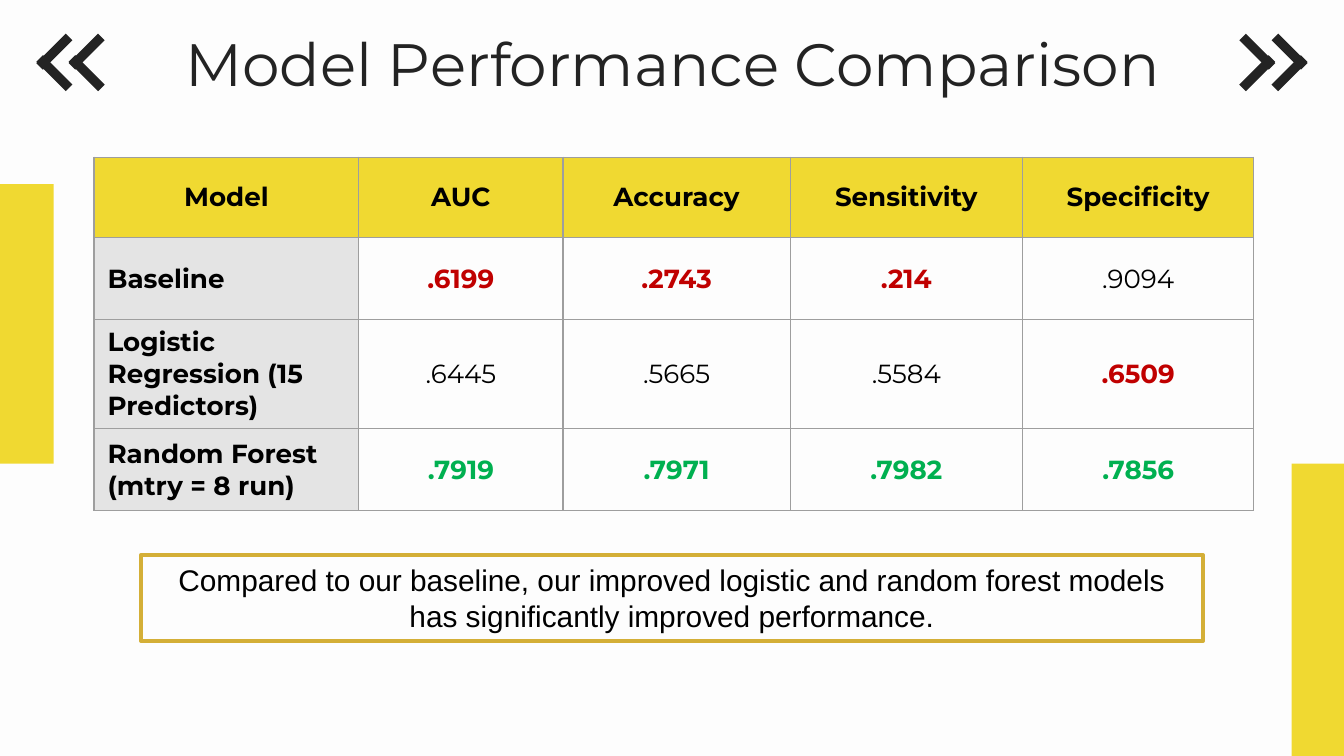
from lxml.etree import SubElement
from pptx import Presentation
from pptx.dml.color import RGBColor
from pptx.enum.shapes import MSO_SHAPE as Preset
from pptx.enum.text import MSO_ANCHOR as Anchor, MSO_AUTO_SIZE as AutoSize, PP_ALIGN as Align
from pptx.oxml.ns import qn
from pptx.util import Inches, Pt

COLOURS = {
    "page": "FDFDFD", "ink": "232323", "text": "000000", "yellow": "F0D931",
    "gold": "D4AF37", "grey": "E4E4E4", "border": "9E9E9E",
    "worst": "C00000", "best": "00B050",
}
HEADINGS = ["Model", "AUC", "Accuracy", "Sensitivity", "Specificity"]
RESULTS = [
    ["Baseline", ".6199", ".2743", ".214", ".9094"],
    ["Logistic Regression (15 Predictors)", ".6445", ".5665", ".5584", ".6509"],
    ["Random Forest (mtry = 8 run)", ".7919", ".7971", ".7982", ".7856"],
]
COLUMN_WIDTHS = [1.97, 1.52, 1.69, 1.73, 1.72]
ROW_HEIGHTS = [0.6, 0.61, 0.81, 0.61]


def colour(name):
    return RGBColor.from_string(COLOURS[name])


def write(frame, text, ink="text", align=Align.CENTER, **font_values):
    para = frame.paragraphs[0]
    para.alignment = align
    span = para.add_run()
    span.text = text
    for name, value in font_values.items():
        setattr(span.font, name, value)
    span.font.color.rgb = colour(ink)


def add_block(page, left, top, width, height, fill):
    block = page.shapes.add_shape(
        Preset.RECTANGLE, Inches(left), Inches(top), Inches(width), Inches(height))
    block.shadow.inherit = False
    block.fill.solid()
    block.fill.fore_color.rgb = colour(fill)
    block.line.fill.background()
    return block


def add_chevrons(page, left, top, direction):
    """Two chevrons of two bars each; direction is 1 for right, -1 for left."""
    for column in range(2):
        for row, side in enumerate((1, -1)):
            bar = add_block(page, left + 0.24 * column, top + 0.16 * row, 0.31, 0.07, "ink")
            bar.rotation = 45 * side * direction % 360


def add_title(page, left, top, width, height, text):
    title = page.shapes.title
    title.left, title.top = Inches(left), Inches(top)
    title.width, title.height = Inches(width), Inches(height)
    frame = title.text_frame
    settings = {f"margin_{side}": Inches(0.1) for side in ("left", "top", "right", "bottom")}
    settings |= {"vertical_anchor": Anchor.TOP, "auto_size": AutoSize.NONE, "word_wrap": True}
    for name, value in settings.items():
        setattr(frame, name, value)
    write(frame, text, "ink", size=Pt(32), name="Montserrat", bold=False)


def add_borders(cell):
    properties = cell._tc.get_or_add_tcPr()
    for edge in ("a:lnL", "a:lnR", "a:lnT", "a:lnB"):
        line = SubElement(properties, qn(edge), w=str(Pt(0.75)))
        fill = SubElement(line, qn("a:solidFill"))
        SubElement(fill, qn("a:srgbClr"), val=COLOURS["border"])


def fill_cell(cell, text, fill, ink, bold, align):
    add_borders(cell)
    if fill:
        cell.fill.solid()
        cell.fill.fore_color.rgb = colour(fill)
    else:
        cell.fill.background()
    cell.vertical_anchor = Anchor.MIDDLE
    write(cell.text_frame, text, ink, align, size=Pt(14), name="Montserrat", bold=bold)


def score_ink(row, column):
    scores = [float(result[column]) for result in RESULTS]
    score = scores[row]
    if row == len(RESULTS) - 1:
        return "best"
    return "worst" if score == min(scores[:-1]) else "text"


def add_results(page, left, top):
    rows = [HEADINGS, *RESULTS]
    table = page.shapes.add_table(
        len(rows), len(HEADINGS), Inches(left), Inches(top),
        Inches(sum(COLUMN_WIDTHS)), Inches(sum(ROW_HEIGHTS))).table
    table.first_row = table.horz_banding = False
    for column, width in zip(table.columns, COLUMN_WIDTHS):
        column.width = Inches(width)
    for row, height in zip(table.rows, ROW_HEIGHTS):
        row.height = Inches(height)
    for r, texts in enumerate(rows):
        for c, text in enumerate(texts):
            fill, ink, bold, align = None, "text", True, Align.CENTER
            if r == 0:
                fill = "yellow"
            elif c == 0:
                fill, align = "grey", Align.LEFT
            else:
                ink = score_ink(r - 1, c)
                bold = ink != "text"
            fill_cell(table.cell(r, c), text, fill, ink, bold, align)


def add_conclusion(page, left, top, width, height, text):
    box = add_block(page, left, top, width, height, "page")
    box.fill.background()
    box.line.color.rgb = colour("gold")
    box.line.width = Pt(2.25)
    box.text_frame.word_wrap = True
    box.text_frame.auto_size = AutoSize.SHAPE_TO_FIT_TEXT
    box.text_frame.vertical_anchor = Anchor.TOP
    write(box.text_frame, text, size=Pt(16), name="Arial")


def build_comparison(deck):
    page = deck.slides.add_slide(deck.slide_layouts[5])
    page.background.fill.solid()
    page.background.fill.fore_color.rgb = colour("page")
    add_chevrons(page, 9.2, 0.35, 1)
    add_chevrons(page, 0.25, 0.35, -1)
    add_block(page, 9.61, 3.45, 0.79, 2.18, "yellow")
    add_block(page, -0.39, 1.37, 0.79, 2.08, "yellow")
    add_title(page, 0.79, 0.1, 8.43, 0.63, "Model Performance Comparison")
    add_results(page, 0.7, 1.17)
    add_conclusion(page, 1.05, 4.13, 7.9, 0.64,
                   "Compared to our baseline, our improved logistic and random forest "
                   "models has significantly improved performance.")


def main():
    deck = Presentation()
    deck.slide_width = Inches(10)
    deck.slide_height = deck.slide_width * 9 // 16
    build_comparison(deck)
    deck.save("out.pptx")


if __name__ == "__main__":
    main()
